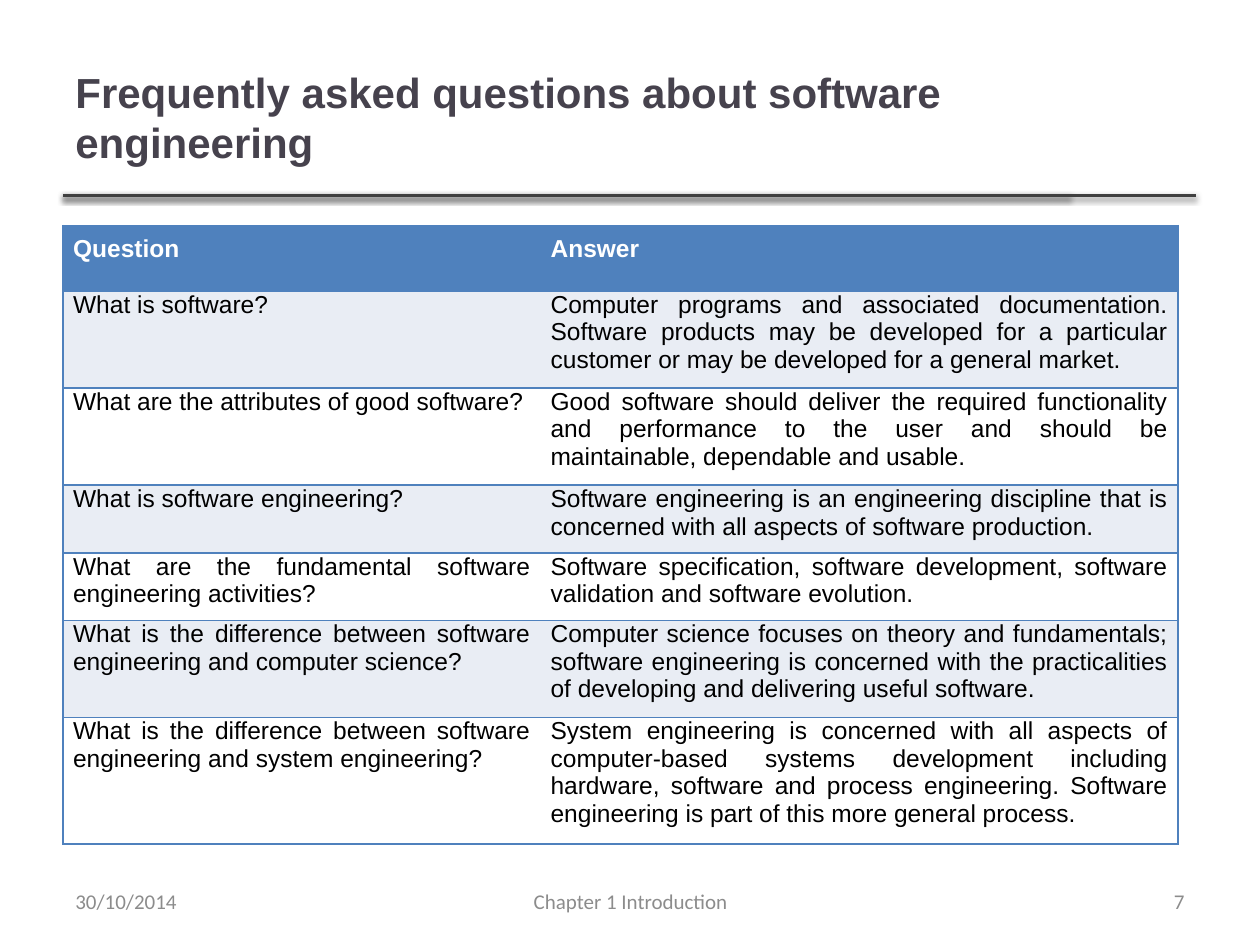
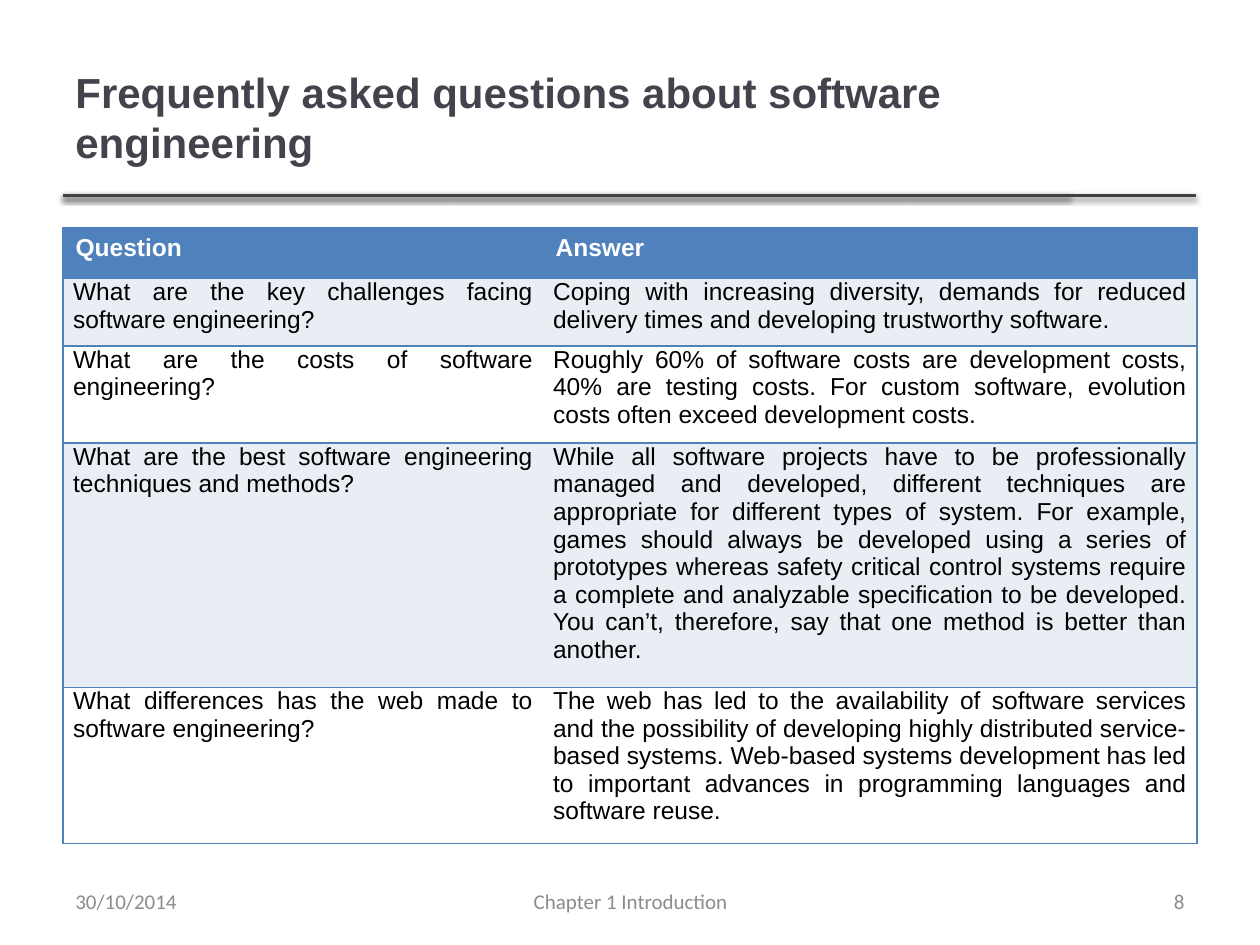
from lxml.etree import SubElement
from pptx import Presentation
from pptx.dml.color import RGBColor
from pptx.enum.shapes import MSO_CONNECTOR as Link
from pptx.enum.text import MSO_ANCHOR as Anchor, PP_ALIGN as Align
from pptx.oxml import parse_xml
from pptx.oxml.ns import nsdecls, qn
from pptx.util import Inches, Pt

# Shared colours, fonts and wording
BLUE, PALE, WHITE, BLACK = "4F81BD", "E9EDF4", "FFFFFF", "000000"
RULE, INK, GREY = "404040", "46424D", "8C8C8C"
HEAD, FOOT = "Arial", "Calibri"
TITLE = "Frequently asked questions about software engineering"
LEFT = 0.5
WIDE = (0.08, 0.08, 0.08, 0.08)
PLAIN = (0.1, 0.05, 0.1, 0.05)
BODY = (0.08, 0, 0.08, 0.07)

# Questions and answers for each slide
BASICS = [
    ("What is software?",
     "Computer programs and associated documentation. Software products may be "
     "developed for a particular customer or may be developed for a general market."),
    ("What are the attributes of good software?",
     "Good software should deliver the required functionality and performance to "
     "the user and should be maintainable, dependable and usable."),
    ("What is software engineering?",
     "Software engineering is an engineering discipline that is concerned with "
     "all aspects of software production."),
    ("What are the fundamental software engineering activities?",
     "Software specification, software development, software validation and "
     "software evolution."),
    ("What is the difference between software engineering and computer science?",
     "Computer science focuses on theory and fundamentals; software engineering is "
     "concerned with the practicalities of developing and delivering useful software."),
    ("What is the difference between software engineering and system engineering?",
     "System engineering is concerned with all aspects of computer-based systems "
     "development including hardware, software and process engineering. Software "
     "engineering is part of this more general process."),
]
ISSUES = [
    ("What are the key challenges facing software engineering?",
     "Coping with increasing diversity, demands for reduced delivery times and "
     "developing trustworthy software."),
    ("What are the costs of software engineering?",
     "Roughly 60% of software costs are development costs, 40% are testing costs. "
     "For custom software, evolution costs often exceed development costs."),
    ("What are the best software engineering techniques and methods?",
     "While all software projects have to be professionally managed and developed, "
     "different techniques are appropriate for different types of system. For "
     "example, games should always be developed using a series of prototypes whereas "
     "safety critical control systems require a complete and analyzable specification "
     "to be developed. You can’t, therefore, say that one method is better than "
     "another."),
    ("What differences has the web made to software engineering?",
     "The web has led to the availability of software services and the possibility "
     "of developing highly distributed service-based systems. Web-based systems "
     "development has led to important advances in programming languages and "
     "software reuse."),
]


def color(code):
    return RGBColor.from_string(code)


def write(frame, text, size, font, ink, bold=False, align=Align.LEFT):
    frame.text = text
    frame.word_wrap = True
    para = frame.paragraphs[0]
    para.alignment = align
    face = para.runs[0].font
    face.size, face.name, face.bold = Pt(size), font, bold
    face.color.rgb = color(ink)


def add_text(slide, box, text, *style, **more):
    shape = slide.shapes.add_textbox(*map(Inches, box))
    write(shape.text_frame, text, *style, **more)
    shape.text_frame.vertical_anchor = Anchor.MIDDLE


def add_rule(slide, end):
    """Draw a title rule with a soft shadow below it."""
    rule = slide.shapes.add_connector(
        Link.STRAIGHT, Inches(LEFT), Inches(1.55), Inches(end), Inches(1.55))
    rule.line.color.rgb = color(RULE)
    rule.line.width = Pt(2)
    rule._element.spPr.append(parse_xml(
        f'<a:effectLst {nsdecls("a")}><a:outerShdw blurRad="{Pt(3.1)}" '
        f'dist="{Pt(1.6)}" dir="5400000" rotWithShape="0">'
        f'<a:srgbClr val="{BLACK}"><a:alpha val="38000"/></a:srgbClr>'
        '</a:outerShdw></a:effectLst>'))


def set_edges(cell, shown):
    """Draw the shown sides in blue and leave the others open."""
    props = cell._tc.get_or_add_tcPr()
    for side in "LRTB":
        edge = SubElement(props, qn(f"a:ln{side}"), w=str(Pt(1)))
        if side in shown:
            fill = SubElement(edge, qn("a:solidFill"))
            SubElement(fill, qn("a:srgbClr"), val=BLUE)
        else:
            SubElement(edge, qn("a:noFill"))


def fill_cell(cell, text, row, col, inset, align):
    set_edges(cell, "TB" + "LR"[col])
    cell.fill.solid()
    cell.fill.fore_color.rgb = color(BLUE if row == 0 else (WHITE, PALE)[row % 2])
    (cell.margin_left, cell.margin_top,
     cell.margin_right, cell.margin_bottom) = map(Inches, inset)
    write(cell.text_frame, text, 14, HEAD, BLACK if row else WHITE,
          bold=row == 0, align=align)


def add_faq(slide, top, cols, rows, pairs, inset, align):
    """Add the question table; inset and align apply to its header."""
    data = [("Question", "Answer")] + pairs
    box = (LEFT, top, sum(cols), sum(rows))
    table = slide.shapes.add_table(len(data), 2, *map(Inches, box)).table
    for col, width in zip(table.columns, cols):
        col.width = Inches(width)
    for row, height in zip(table.rows, rows):
        row.height = Inches(height)
    for i, pair in enumerate(data):
        for j, text in enumerate(pair):
            look = (BODY, Align.JUSTIFY) if i else (inset, align)
            fill_cell(table.cell(i, j), text, i, j, *look)


def add_page(deck, number, box):
    """Start a slide with its rules, title and footer."""
    slide = deck.slides.add_slide(deck.slide_layouts[6])
    for end in (8.49, 9.49):
        add_rule(slide, end)
    add_text(slide, box, TITLE, 24, HEAD, INK, bold=True)
    for left, width, text, align in (
            (3.42, 3.17, "Chapter 1 Introduction", Align.CENTER),
            (LEFT, 2.33, "30/10/2014", Align.LEFT),
            (7.17, 2.33, str(number), Align.RIGHT)):
        add_text(slide, (left, 6.95, width, 0.4), text, 12, FOOT, GREY, align=align)
    return slide


def main():
    deck = Presentation()
    deck.slide_width, deck.slide_height = Inches(10), Inches(7.5)

    # Basic questions
    slide = add_page(deck, 7, (LEFT, 0.28, 8.41, 1.29))
    add_faq(slide, 1.79, (3.79, 5.06), (0.52, 0.73, 0.73, 0.52, 0.52, 0.73, 0.95),
            BASICS, WIDE, Align.JUSTIFY)

    # Wider issues
    slide = add_page(deck, 8, (LEFT, 0.3, 7.98, 1.25))
    add_faq(slide, 1.81, (3.81, 5.19), (0.4, 0.52, 0.73, 1.82, 1.17),
            ISSUES, PLAIN, Align.LEFT)

    deck.save("out.pptx")


if __name__ == "__main__":
    main()
